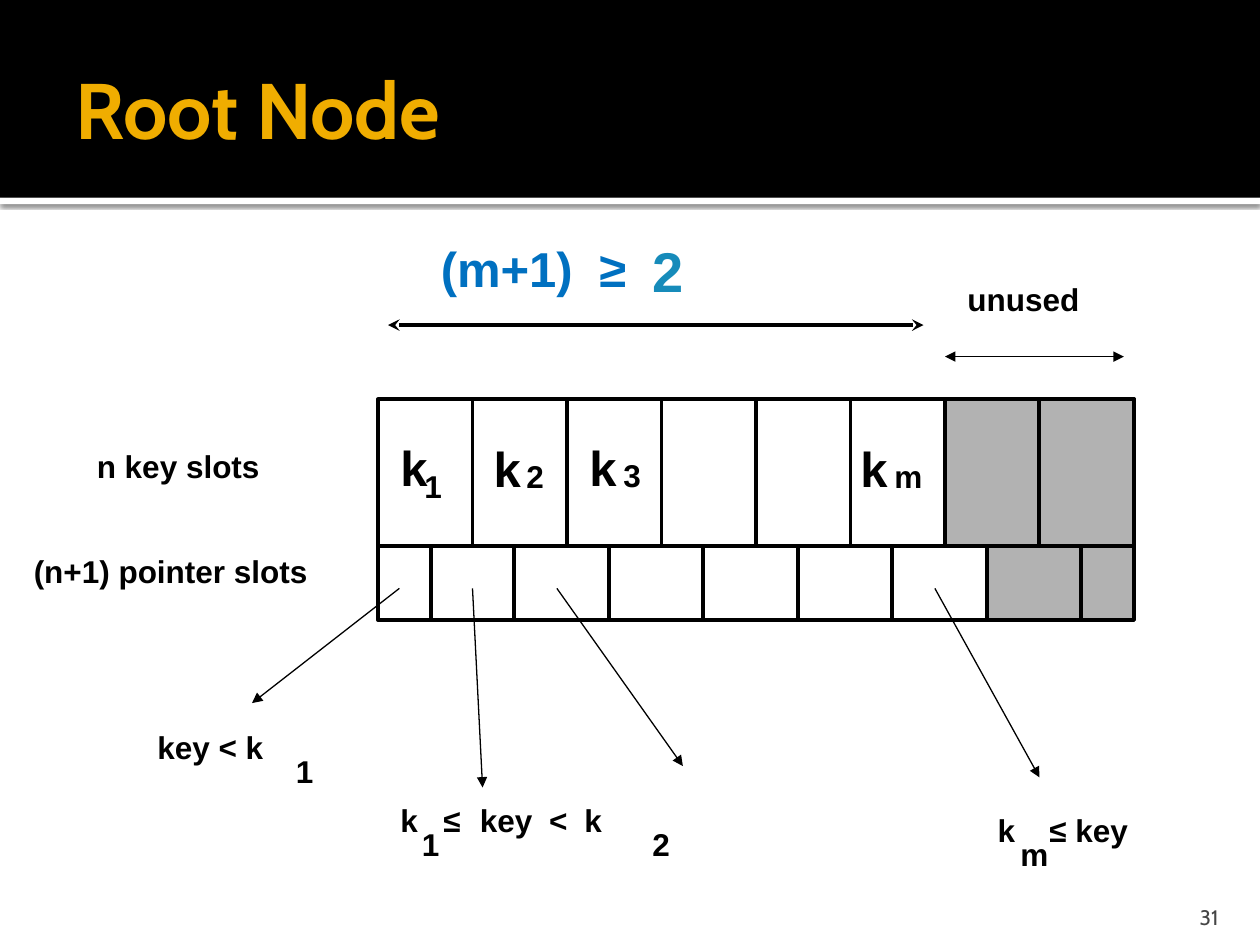
from lxml.etree import SubElement
from pptx import Presentation
from pptx.dml.color import RGBColor
from pptx.enum.shapes import MSO_CONNECTOR, MSO_SHAPE
from pptx.enum.text import MSO_ANCHOR, PP_ALIGN
from pptx.oxml.ns import qn
from pptx.util import Cm, Pt

BLACK, WHITE, GREY = "000000", "FFFFFF", "B2B2B2"
GOLD, BLUE, TEAL, SLATE = "F0AD00", "0070C0", "168BBA", "454545"

NODE_LEFT, NODE_RIGHT = 3, 9
KEY_TOP, POINTER_TOP, NODE_BOTTOM = 3.17, 4.33, 4.92
SLOT = 0.75
KEY_EDGES = [NODE_LEFT + SLOT * i for i in range(9)]
POINTER_EDGES = [NODE_LEFT, 3.42] + [4.08 + SLOT * i for i in range(7)] + [NODE_RIGHT]
ROWS = [(KEY_EDGES, KEY_TOP, POINTER_TOP), (POINTER_EDGES, POINTER_TOP, NODE_BOTTOM)]
UNUSED_SLOTS = 2

LABELS = [
    ("n key slots", 0.67, 3.5, 1.56),
    ("(n+1) pointer slots", 0.17, 4.33, 2.63),
    ("1", 3.27, 3.66, 0.36),
    ("2", 4.08, 3.58, 0.36),
    ("3", 4.85, 3.57, 0.36),
    ("m", 7, 3.58, 0.46),
    ("key < k", 1.15, 5.73, 1.26),
    ("1", 2.25, 5.92, 0.36),
    ("1", 3.25, 6.5, 0.36),
    ("2", 5.08, 6.5, 0.36),
    ("m", 8, 6.58, 0.46),
    ("unused", 7.58, 2.17, 1.12),
]
KEYS = [(3.08, 3.42), (3.82, 3.43), (4.58, 3.42), (6.73, 3.43)]
TABBED_LABELS = [
    ("k\t≤\tkey\t<\tk", 3.08, 6.31, 2.14, 18, BLACK, (0.34, 0.63, 1.18, 1.46)),
    ("k\t≤ key", 7.82, 6.39, 1.43, 18, BLACK, (0.41,)),
    ("(m+1)\t≥", 3.4, 1.84, 1.7, 28, BLUE, (1.26,)),
]
POINTERS = [
    ((3.17, 4.67), (2, 5.58)),
    ((3.75, 4.67), (3.83, 6.25)),
    ((4.42, 4.67), (5.42, 6.08)),
    ((7.42, 4.67), (8.25, 6.17)),
]


def length(inches):
    return Cm(inches * 2.54)


def rgb(color):
    return RGBColor.from_string(color)


def add_box(left, top, width, height, fill=None, line=None):
    box = slide.shapes.add_shape(MSO_SHAPE.RECTANGLE, *map(length, (left, top, width, height)))
    box.shadow.inherit = False
    if fill:
        box.fill.solid()
        box.fill.fore_color.rgb = rgb(fill)
    else:
        box.fill.background()
    if line:
        box.line.color.rgb = rgb(line)
        box.line.width = Pt(2.25)
    else:
        box.line.fill.background()
    return box


def add_line(start, end, weight=2.25, head=None, tail=None):
    ends = map(length, (*start, *end))
    connector = slide.shapes.add_connector(MSO_CONNECTOR.STRAIGHT, *ends)
    connector.line.color.rgb = rgb(BLACK)
    connector.line.width = Pt(weight)
    stroke = connector.line._get_or_add_ln()
    for tag, arrow in (("a:headEnd", head), ("a:tailEnd", tail)):
        if arrow:
            SubElement(stroke, qn(tag), type=arrow)
    SubElement(connector._element.spPr, qn("a:effectLst"))


def add_text(text, left, top, width, height=0.5, size=18, color=BLACK, font="Arial",
             bold=True, wrap=False, anchor=MSO_ANCHOR.TOP, align=PP_ALIGN.LEFT, tabs=()):
    box = slide.shapes.add_textbox(*map(length, (left, top, width, height)))
    frame = box.text_frame
    frame.word_wrap = wrap
    frame.vertical_anchor = anchor
    paragraph = frame.paragraphs[0]
    paragraph.alignment = align
    if tabs:
        stops = SubElement(paragraph._p.get_or_add_pPr(), qn("a:tabLst"))
        for stop in tabs:
            SubElement(stops, qn("a:tab"), pos=str(length(stop)), algn="l")
    run = paragraph.add_run()
    run.text = text
    run.font.size = Pt(size)
    run.font.name = font
    run.font.bold = bold
    run.font.color.rgb = rgb(color)
    return frame


def add_soft_shadow(box):
    effects = box._element.spPr.find(qn("a:effectLst"))
    shadow = SubElement(effects, qn("a:outerShdw"), blurRad=str(Pt(2.5)),
                        dist=str(Pt(0.8)), dir="5400000", algn="t", rotWithShape="0")
    tint = SubElement(shadow, qn("a:srgbClr"), val=BLACK)
    SubElement(tint, qn("a:alpha"), val="60000")


presentation = Presentation()
presentation.slide_width, presentation.slide_height = length(10), length(7.5)
slide = presentation.slides.add_slide(presentation.slide_layouts[6])

add_soft_shadow(add_box(0, 1.57, 10, 0.05, WHITE))
add_box(0, 0, 10, 1.57, BLACK)
title = add_text("Root Node", 0.5, 0.17, 9, 1.37, 45, GOLD, "Cabin",
                 wrap=True, anchor=MSO_ANCHOR.MIDDLE)
title.margin_right = length(0.05)
page_number = add_text("31", 8.97, 7.08, 0.8, 0.3, 12, SLATE, "Cabin", bold=False,
                       wrap=True, anchor=MSO_ANCHOR.BOTTOM, align=PP_ALIGN.RIGHT)
page_number.margin_bottom = 0

add_box(NODE_LEFT, KEY_TOP, NODE_RIGHT - NODE_LEFT, NODE_BOTTOM - KEY_TOP, line=BLACK)
add_line((NODE_LEFT, POINTER_TOP), (NODE_RIGHT, POINTER_TOP))
for edges, top, bottom in ROWS:
    for x in edges[1:-1]:
        add_line((x, top), (x, bottom))
    for left, right in list(zip(edges, edges[1:]))[-UNUSED_SLOTS:]:
        add_box(left, top, right - left, bottom - top, GREY, BLACK)

for label in LABELS:
    add_text(*label)
for left, top in KEYS:
    add_text("k", left, top, 0.38, 0.57, 28)
for text, left, top, width, size, color, tabs in TABBED_LABELS:
    add_text(text, left, top, width, size=size, color=color, tabs=tabs)
add_text("2", 5.08, 1.83, 0.41, 0.63, 32, TEAL)

for start, end in POINTERS:
    add_line(start, end, 0.75, tail="triangle")
add_line((7.5, 2.83), (8.92, 2.83), 0.75, "triangle", "triangle")
add_line((3.08, 2.58), (7.33, 2.58), 2.25, "stealth", "stealth")

presentation.save("out.pptx")
